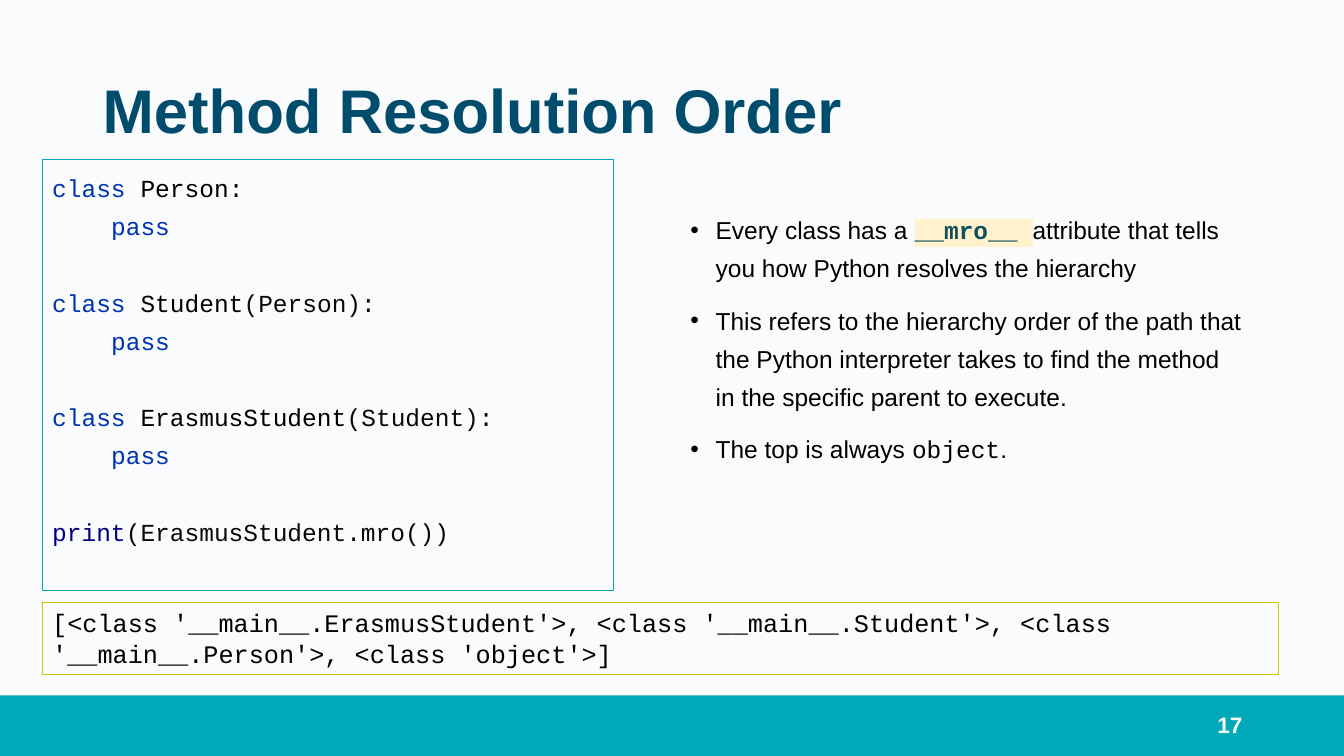
from copy import deepcopy
from lxml.etree import SubElement as Sub
from pptx import Presentation
from pptx.dml.color import RGBColor as RGB
from pptx.enum.shapes import MSO_SHAPE as Kind
from pptx.enum.text import MSO_ANCHOR as Anchor, PP_ALIGN as Align
from pptx.oxml.ns import qn
from pptx.util import Inches as In, Pt

SANS, MONO = "Arial", "Courier New"
TEAL, BLACK, BLUE, GREY = "00A9B7", "000000", "0033B3", "080808"
EDGE, WIDE, TALL = 0.42, 13.33, 7.5


def hue(code):
    return RGB.from_string(code)


def write(par, text, size, font, color, bold=False):
    """Append text in one style; each newline becomes a line break."""
    for n, part in enumerate(text.split("\n")):
        if n:
            par.add_line_break()
        run = par.add_run()
        run.text = part
        run.font.size, run.font.name, run.font.bold = Pt(size), font, bold
        run.font.color.rgb = hue(color)
        if n:
            # The break takes the style of the text after it
            run._r.getprevious().append(deepcopy(run._r.rPr))
        if not part:
            par._p.remove(run._r)
    return run


deck = Presentation()
deck.slide_width, deck.slide_height = In(WIDE), In(TALL)
slide = deck.slides.add_slide(deck.slide_layouts[6])
slide.background.fill.solid()
slide.background.fill.fore_color.rgb = hue("FAFBFC")

# Bands and frames: left, top, width, height, fill, line
frames = []
for x, y, w, h, fill, line in [
    (0, 6.9, WIDE, 0.6, TEAL, None),
    (EDGE, 1.58, 5.67, 4.28, None, TEAL),
    (EDGE, 5.98, 12.26, 0.71, None, "CFC600"),
]:
    box = slide.shapes.add_shape(Kind.RECTANGLE, In(x), In(y), In(w), In(h))
    box.shadow.inherit = False
    if fill:
        box.fill.solid()
        box.fill.fore_color.rgb = hue(fill)
    else:
        box.fill.background()
    if line:
        box.line.color.rgb = hue(line)
        box.line.width = Pt(0.75)
    else:
        box.line.fill.background()
    frame = box.text_frame
    frame.word_wrap, frame.vertical_anchor = True, Anchor.TOP
    frame.paragraphs[0].alignment = Align.LEFT
    frames.append(frame)
band, code, result = frames

# Plain text boxes: left, top, width, height, anchor
texts = []
for x, y, w, h, anchor in [
    (0.92, 0.4, 11.5, 1.45, Anchor.MIDDLE),
    (6.75, 2, 5.67, 4.76, Anchor.TOP),
    (9.42, 6.99, 3, 0.4, Anchor.MIDDLE),
]:
    frame = slide.shapes.add_textbox(In(x), In(y), In(w), In(h)).text_frame
    frame.word_wrap, frame.vertical_anchor = True, anchor
    texts.append(frame)
title, notes, page = texts

par = title.paragraphs[0]
par.line_spacing = 0.9
write(par, "Method Resolution Order", 44, SANS, "004C6C", True)

par = page.paragraphs[0]
par.alignment = Align.RIGHT
write(par, "17", 16, SANS, "FAFBFD", True)

# Code listing
par = code.paragraphs[0]
par.line_spacing, par.space_before = 1.3, Pt(10)
for name, base in [
    ("Person", ""),
    ("Student", "(Person)"),
    ("ErasmusStudent", "(Student)"),
]:
    for text, color in [
        ("class ", BLUE), (name, BLACK), (base + ":\n    ", GREY), ("pass\n\n", BLUE),
    ]:
        write(par, text, 17.5, MONO, color)
write(par, "print", 17.5, MONO, "000080")
write(par, "(ErasmusStudent.mro())", 17.5, MONO, GREY)

# Printed result
write(
    result.paragraphs[0],
    "[<class '__main__.ErasmusStudent'>, <class '__main__.Student'>, "
    "<class '__main__.Person'>, <class 'object'>]",
    18, MONO, BLACK,
)

# Bullets: the middle part of each is code
MARK = "134F5C"
for n, (lead, term, tail, color) in enumerate([
    ("Every class has a ", "__mro__ ",
     "attribute that tells you how Python resolves the hierarchy", MARK),
    ("This refers to the\u00a0hierarchy order of the path that the Python interpreter "
     "takes to find the method in the specific parent to execute.", "", "", BLACK),
    ("The top is always ", "object", ".", BLACK),
]):
    par = notes.add_paragraph() if n else notes.paragraphs[0]
    par.line_spacing, par.space_before = 1.3, Pt(10)
    props = par._p.get_or_add_pPr()
    props.set("marL", str(In(0.25)))
    props.set("indent", str(-In(0.25)))
    Sub(props, qn("a:buFont")).set("typeface", SANS)
    Sub(props, qn("a:buChar")).set("char", "•")
    write(par, lead, 17.5, SANS, BLACK)
    if term:
        run = write(par, term, 17.5, MONO, color, color == MARK)
        if color == MARK:
            glow = Sub(run._r.rPr, qn("a:highlight"))
            Sub(glow, qn("a:srgbClr")).set("val", "FFF2CC")
            run._r.rPr.find(qn("a:solidFill")).addnext(glow)
        write(par, tail, 17.5, SANS, BLACK)

deck.save("out.pptx")
